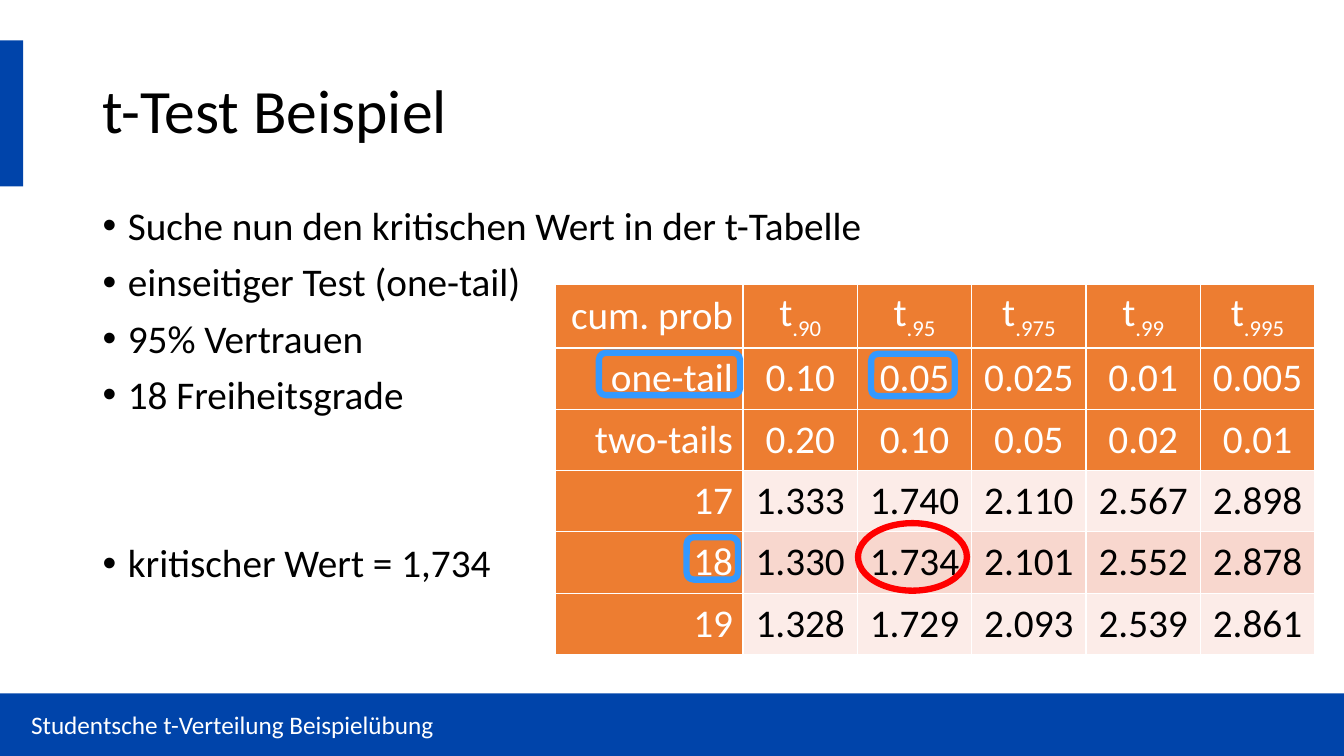
from dataclasses import dataclass

from lxml.etree import SubElement
from pptx import Presentation
from pptx.dml.color import RGBColor
from pptx.enum.shapes import MSO_SHAPE as Shape
from pptx.enum.text import MSO_ANCHOR as Anchor, PP_ALIGN as Align
from pptx.oxml.ns import qn
from pptx.util import Inches, Pt


@dataclass(frozen=True)
class Theme:
    font: str = "Calibri"
    title_size: int = 44
    body_size: int = 28
    footer_size: int = 18
    black: str = "000000"
    white: str = "FFFFFF"
    brand: str = "0044AA"
    header: str = "ED7D31"
    bands: tuple = ("FCECE8", "F8D7CE")
    marker: str = "3399FF"
    result: str = "FF0000"
    marker_width: float = 4.5


THEME = Theme()
WIDTH, HEIGHT = 13.33, 7.5

BULLETS = [  # text, space before in points
    ("Suche nun den kritischen Wert in der t-Tabelle", 0),
    ("einseitiger Test (one-tail)", 10),
    ("95% Vertrauen", 10),
    ("18 Freiheitsgrade", 10),
    ("kritischer Wert = 1,734", 90),
]
HEADER_ROWS = 3
T_TABLE = [
    ["cum. prob", "t.90", "t.95", "t.975", "t.99", "t.995"],
    ["one-tail", "0.10", "0.05", "0.025", "0.01", "0.005"],
    ["two-tails", "0.20", "0.10", "0.05", "0.02", "0.01"],
    ["17", "1.333", "1.740", "2.110", "2.567", "2.898"],
    ["18", "1.330", "1.734", "2.101", "2.552", "2.878"],
    ["19", "1.328", "1.729", "2.093", "2.539", "2.861"],
]
MARKERS = [  # shape, colour, box relative to the table
    (Shape.ROUNDED_RECTANGLE, THEME.marker, (0.43, 0.68, 1.4, 0.42)),
    (Shape.ROUNDED_RECTANGLE, THEME.marker, (3.13, 0.69, 0.83, 0.42)),
    (Shape.ROUNDED_RECTANGLE, THEME.marker, (1.3, 2.51, 0.51, 0.42)),
    (Shape.OVAL, THEME.result, (3, 2.37, 1.08, 0.67)),
]


def rgb(color):
    return RGBColor.from_string(color)


def style(paragraph, size, color):
    paragraph.font.name = THEME.font
    paragraph.font.size = Pt(size)
    paragraph.font.color.rgb = rgb(color)


def add_text_frame(slide, box, anchor):
    frame = slide.shapes.add_textbox(*map(Inches, box)).text_frame
    frame.word_wrap = True
    frame.vertical_anchor = anchor
    return frame


def add_bar(slide, box):
    bar = slide.shapes.add_shape(Shape.RECTANGLE, *map(Inches, box))
    bar.shadow.inherit = False
    bar.fill.solid()
    bar.fill.fore_color.rgb = rgb(THEME.brand)
    bar.line.fill.background()


def add_title(slide, box):
    left, top, width, height = box
    add_bar(slide, (0, top, 0.23, height))
    paragraph = add_text_frame(slide, box, Anchor.MIDDLE).paragraphs[0]
    paragraph.text = "t-Test Beispiel"
    paragraph.line_spacing = 0.9
    style(paragraph, THEME.title_size, THEME.black)


def add_bullets(slide, box):
    frame = add_text_frame(slide, box, Anchor.TOP)
    for index, (text, space_before) in enumerate(BULLETS):
        paragraph = frame.add_paragraph() if index else frame.paragraphs[0]
        paragraph.text = text
        paragraph.line_spacing = 0.9
        paragraph.space_before = Pt(space_before)
        properties = paragraph._p.get_or_add_pPr()
        properties.set("marL", str(Inches(0.25)))
        properties.set("indent", str(Inches(-0.25)))
        SubElement(properties, qn("a:buFont"), typeface="Arial")
        SubElement(properties, qn("a:buChar"), char="•")
        style(paragraph, THEME.body_size, THEME.black)


def add_cell_borders(cell):
    properties = cell._tc.get_or_add_tcPr()
    for side in ("a:lnL", "a:lnR", "a:lnT", "a:lnB"):
        line = SubElement(properties, qn(side), w=str(Pt(1)))
        fill = SubElement(line, qn("a:solidFill"))
        SubElement(fill, qn("a:srgbClr"), val=THEME.white)


def fill_cell(cell, text, row, column):
    is_header = row < HEADER_ROWS or column == 0
    add_cell_borders(cell)
    cell.fill.solid()
    band = THEME.bands[(row - HEADER_ROWS) % 2]
    cell.fill.fore_color.rgb = rgb(THEME.header if is_header else band)
    cell.vertical_anchor = Anchor.MIDDLE
    paragraph = cell.text_frame.paragraphs[0]
    paragraph.alignment = Align.CENTER if column else Align.RIGHT
    if row == 0 and column:
        paragraph.add_run().text = text[0]
        subscript = paragraph.add_run()
        subscript.text = text[1:]
        subscript._r.get_or_add_rPr().set("baseline", "-25000")
    else:
        paragraph.text = text
    style(paragraph, THEME.body_size, THEME.white if is_header else THEME.black)


def add_t_table(slide, box):
    left, top, width, height = box
    rows, columns = len(T_TABLE), len(T_TABLE[0])
    table = slide.shapes.add_table(rows, columns, *map(Inches, box)).table
    label_width = 1.86
    value_width = (width - label_width) / (columns - 1)
    for index, column in enumerate(table.columns):
        column.width = Inches(value_width if index else label_width)
    for row, values in enumerate(T_TABLE):
        for column, text in enumerate(values):
            fill_cell(table.cell(row, column), text, row, column)

    # Outlines around the values that are looked up
    for kind, color, (x, y, marker_width, marker_height) in MARKERS:
        marker_box = (left + x, top + y, marker_width, marker_height)
        marker = slide.shapes.add_shape(kind, *map(Inches, marker_box))
        marker.shadow.inherit = False
        marker.fill.background()
        marker.line.color.rgb = rgb(color)
        marker.line.width = Pt(THEME.marker_width)


def add_footer(slide, box):
    left, top, width, height = box
    add_bar(slide, box)
    text_box = (left + 0.21, top + 0.11, 6.93, 0.4)
    paragraph = add_text_frame(slide, text_box, Anchor.MIDDLE).paragraphs[0]
    paragraph.text = "Studentsche t-Verteilung Beispielübung"
    style(paragraph, THEME.footer_size, THEME.white)


def main():
    presentation = Presentation()
    presentation.slide_width = Inches(WIDTH)
    presentation.slide_height = Inches(HEIGHT)
    slide = presentation.slides.add_slide(presentation.slide_layouts[6])
    add_title(slide, (0.92, 0.4, 11.5, 1.45))
    add_bullets(slide, (0.92, 2, 11.5, 4.76))
    add_t_table(slide, (5.51, 2.82, 7.53, 3.65))
    add_footer(slide, (0, 6.88, WIDTH, 0.62))
    presentation.save("out.pptx")


if __name__ == "__main__":
    main()
